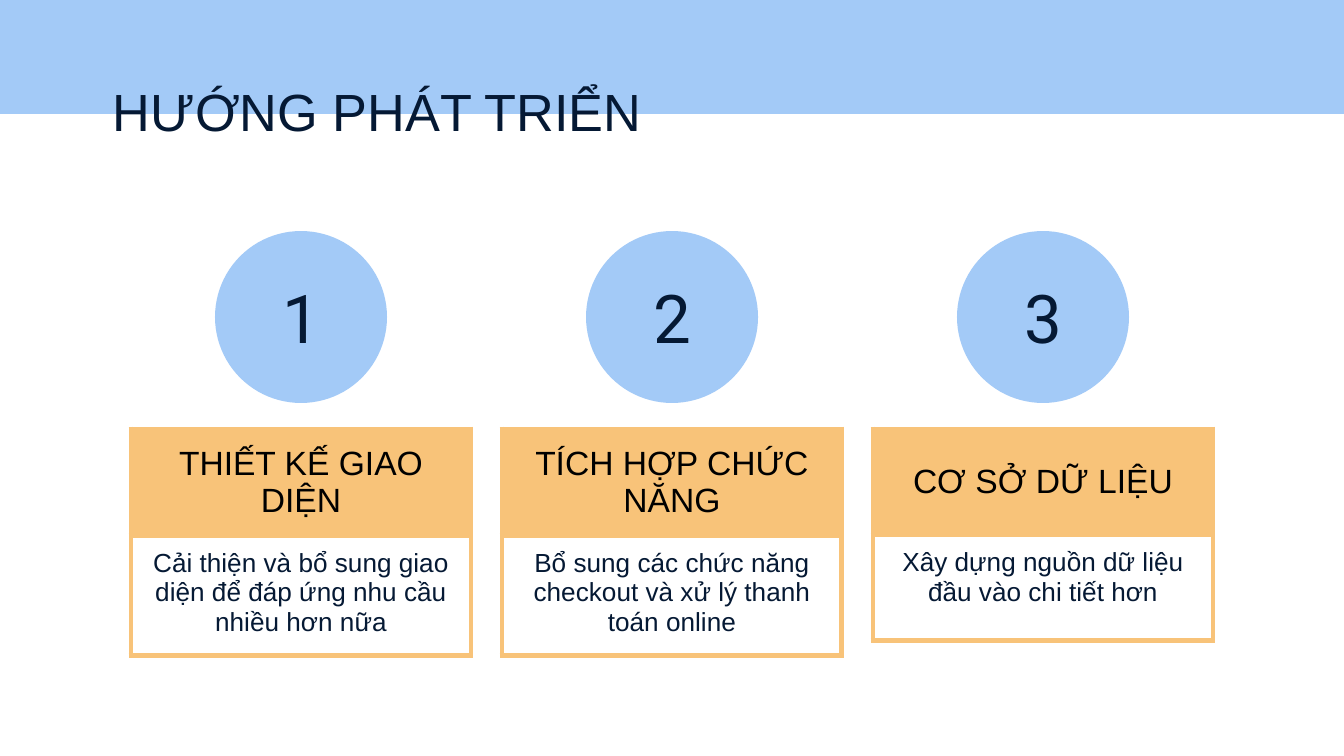
"""Build the slide on future development directions with three numbered cards."""
from lxml import etree
from pptx import Presentation
from pptx import util as u
from pptx.dml.color import RGBColor
from pptx.enum import shapes, text
from pptx.oxml import ns

EMU_PER_PX = 914400 / 134.4
BLUE = RGBColor(0xA3, 0xCA, 0xF7)
ORANGE = RGBColor(0xF8, 0xC3, 0x79)
NAVY = RGBColor(0x05, 0x19, 0x34)
BLACK = RGBColor(0, 0, 0)
INSET = 13
CARD_LEFT, CARD_TOP, CARD_WIDTH, CARD_PITCH = 131, 429, 340, 371
ROW_HEIGHT = 106
CIRCLE_TOP, CIRCLE_SIZE = 231, 172
BORDER_POINTS = 3

TITLE = "HƯỚNG PHÁT TRIỂN"
CARDS = [
    ("THIẾT KẾ GIAO DIỆN", "Cải thiện và bổ sung giao diện để đáp ứng nhu cầu nhiều hơn nữa"),
    ("TÍCH HỢP CHỨC NĂNG", "Bổ sung các chức năng checkout và xử lý thanh toán online"),
    ("CƠ SỞ DỮ LIỆU", "Xây dựng nguồn dữ liệu đầu vào chi tiết hơn"),
]


def px(length):
    """Turn pixels into EMU."""
    return u.Emu(round(length * EMU_PER_PX))


def set_all(target, values):
    """Set each attribute named in the dict."""
    for name, value in values.items():
        setattr(target, name, value)


def write_text(holder, content, size, color, font="Arial", centred=True, anchor="TOP"):
    """Fill a text frame or table cell with one formatted paragraph."""
    frame = getattr(holder, "text_frame", holder)
    set_all(holder if holder is not frame else frame, {
        f"margin_{side}": px(INSET) for side in ("left", "top", "right", "bottom")
    })
    holder.vertical_anchor = getattr(text.MSO_ANCHOR, anchor)
    frame.word_wrap = True
    paragraph = frame.paragraphs[0]
    paragraph.alignment = text.PP_ALIGN.CENTER if centred else text.PP_ALIGN.LEFT
    run = paragraph.add_run()
    run.text = content
    set_all(run.font, {"name": font, "size": u.Pt(size)})
    run.font.color.rgb = color


def add_filled(slide, kind, left, top, width, height):
    """Add a plain blue shape without outline or shadow."""
    shape = slide.shapes.add_shape(kind, px(left), px(top), px(width), px(height))
    shape.shadow.inherit = False
    shape.fill.solid()
    shape.fill.fore_color.rgb = BLUE
    shape.line.fill.background()
    return shape


def add_title(slide):
    """Add the slide title over the lower edge of the band."""
    box = slide.shapes.add_textbox(px(100), px(66), px(1039), px(85))
    write_text(box.text_frame, TITLE, 28, NAVY, centred=False)


def add_borders(cell):
    """Draw an orange border on all four sides of a cell."""
    properties = cell._tc.get_or_add_tcPr()
    for index, side in enumerate("LRTB"):
        line = etree.Element(ns.qn(f"a:ln{side}"), w=str(u.Pt(BORDER_POINTS)))
        fill = etree.SubElement(line, ns.qn("a:solidFill"))
        etree.SubElement(fill, ns.qn("a:srgbClr"), val=str(ORANGE))
        properties.insert(index, line)


def add_card(slide, left, heading, description):
    """Add a two-row table with a filled heading above a description."""
    table = slide.shapes.add_table(
        2, 1, px(left), px(CARD_TOP), px(CARD_WIDTH), px(2 * ROW_HEIGHT)).table
    set_all(table, {"first_row": False, "horz_banding": False})
    head, body = table.cell(0, 0), table.cell(1, 0)
    write_text(head, heading, 18, BLACK, anchor="MIDDLE")
    write_text(body, description, 14, NAVY)
    head.fill.solid()
    head.fill.fore_color.rgb = ORANGE
    body.fill.background()
    for cell in (head, body):
        add_borders(cell)


def add_number(slide, left, number):
    """Add a numbered circle centred over the card that starts at left."""
    circle = add_filled(slide, shapes.MSO_SHAPE.OVAL, left + (CARD_WIDTH - CIRCLE_SIZE) // 2,
                        CIRCLE_TOP, CIRCLE_SIZE, CIRCLE_SIZE)
    write_text(circle.text_frame, str(number), 36, NAVY, font="Roboto", anchor="MIDDLE")


def main():
    """Build and save the presentation."""
    presentation = Presentation()
    set_all(presentation, {"slide_width": px(1344), "slide_height": px(756)})
    slide = presentation.slides.add_slide(presentation.slide_layouts[6])
    add_filled(slide, shapes.MSO_SHAPE.RECTANGLE, 0, 0, 1344, 114)
    add_title(slide)
    for index, (heading, description) in enumerate(CARDS):
        left = CARD_LEFT + index * CARD_PITCH
        add_card(slide, left, heading, description)
        add_number(slide, left, index + 1)
    presentation.save("out.pptx")


if __name__ == "__main__":
    main()
